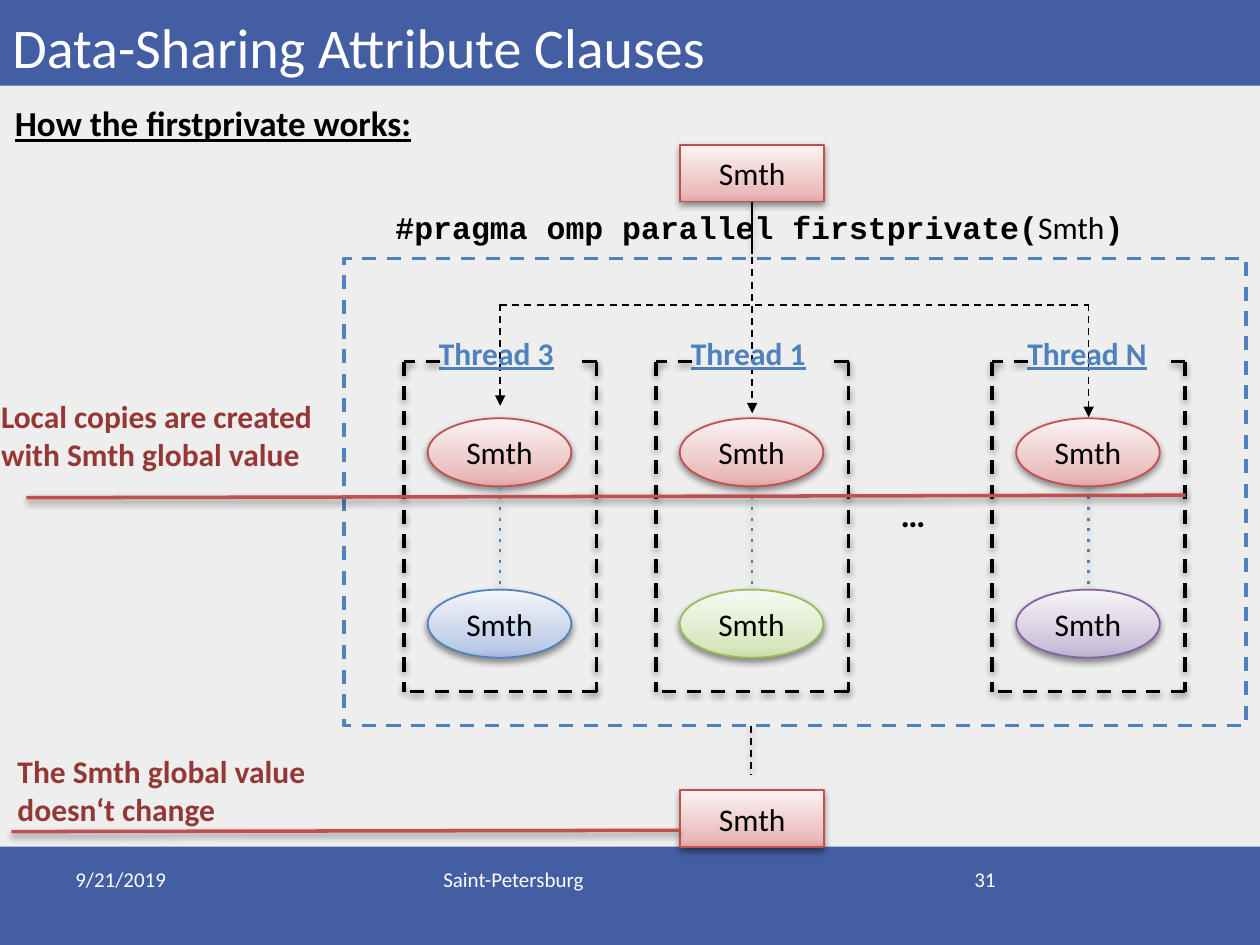
from copy import deepcopy

from lxml import etree
from pptx import Presentation
from pptx.dml.color import RGBColor
from pptx.enum.dml import MSO_LINE
from pptx.enum.shapes import MSO_CONNECTOR, MSO_SHAPE
from pptx.enum.text import MSO_ANCHOR, MSO_AUTO_SIZE, PP_ALIGN
from pptx.oxml.ns import qn
from pptx.util import Inches, Pt

RECTANGLE, OVAL = MSO_SHAPE.RECTANGLE, MSO_SHAPE.OVAL
STRAIGHT, DASH = MSO_CONNECTOR.STRAIGHT, MSO_LINE.DASH
LEFT, CENTER, RIGHT = PP_ALIGN.LEFT, PP_ALIGN.CENTER, PP_ALIGN.RIGHT
TOP, MIDDLE, BOTTOM = MSO_ANCHOR.TOP, MSO_ANCHOR.MIDDLE, MSO_ANCHOR.BOTTOM
FIT_TEXT = MSO_AUTO_SIZE.SHAPE_TO_FIT_TEXT

BLACK = RGBColor(0x00, 0x00, 0x00)
WHITE = RGBColor(0xFF, 0xFF, 0xFF)
PAPER = RGBColor(0xEE, 0xEE, 0xEE)
BAND = RGBColor(0x44, 0x5E, 0xA4)
DARK_RED = RGBColor(0x95, 0x37, 0x35)
RED = RGBColor(0xC0, 0x50, 0x4D)
BLUE = RGBColor(0x4F, 0x81, 0xBD)
GREEN = RGBColor(0x9B, 0xBB, 0x59)
PURPLE = RGBColor(0x80, 0x64, 0xA2)

# Gradient colours from bottom to top, by outline colour
GRADIENTS = {
    RED: (RGBColor(0xE1, 0xA3, 0xA2), RGBColor(0xE9, 0xBC, 0xBB), RGBColor(0xFB, 0xF3, 0xF3)),
    BLUE: (RGBColor(0xA3, 0xB8, 0xDF), RGBColor(0xBC, 0xCB, 0xE7), RGBColor(0xF3, 0xF6, 0xFA)),
    GREEN: (RGBColor(0xC7, 0xDD, 0xA6), RGBColor(0xD6, 0xE6, 0xBE), RGBColor(0xF7, 0xFA, 0xF4)),
    PURPLE: (RGBColor(0xB9, 0xAC, 0xCD), RGBColor(0xCC, 0xC2, 0xDB), RGBColor(0xF6, 0xF4, 0xF8)),
}
STOPS = (0, 0.15, 1)


class Diagram:
    """Draws on a grid of 100 columns by 75 rows, each a tenth of an inch."""

    font_name = "Calibri"
    code_font = "Courier New"

    def __init__(self, slide):
        self.slide = slide
        self.shapes = slide.shapes
        slide.background.fill.solid()
        slide.background.fill.fore_color.rgb = PAPER

    def grid(self, *units):
        return [Inches(unit / 10) for unit in units]

    def open_group(self):
        self.shapes = self.slide.shapes.add_group_shape().shapes

    def close_group(self):
        self.shapes = self.slide.shapes

    def effects(self, shape, shadow):
        """End the shape properties with a soft shadow or with no effect."""
        effect_list = etree.SubElement(shape._element.spPr, qn("a:effectLst"))
        if shadow:
            outer = etree.SubElement(effect_list, qn("a:outerShdw"), blurRad=str(Pt(4)),
                                     dist=str(Pt(2)), dir="5400000", rotWithShape="0")
            color = etree.SubElement(outer, qn("a:srgbClr"), val=str(BLACK))
            etree.SubElement(color, qn("a:alpha"), val="43000")

    def style(self, run, size, color, bold=False, underline=False, font=None):
        run.font.name = font or self.font_name
        run.font.size = Pt(size)
        run.font.color.rgb = color
        run.font.bold = bold
        run.font.underline = underline

    def text(self, at, text, size=18, color=BLACK, bold=False, underline=False,
             align=LEFT, anchor=TOP, wrap=False):
        frame = self.shapes.add_textbox(*self.grid(*at)).text_frame
        frame.text = text
        frame.word_wrap = wrap
        if not wrap:
            frame.auto_size = FIT_TEXT
        frame.vertical_anchor = anchor
        for paragraph in frame.paragraphs:
            paragraph.alignment = align
            for run in paragraph.runs:
                self.style(run, size, color, bold, underline)
        return frame

    def code(self, at, parts):
        """One line of (text, is_code) parts."""
        frame = self.text(at, "")
        for text, is_code in parts:
            run = frame.paragraphs[0].add_run()
            run.text = text
            self.style(run, 18, BLACK, is_code, font=self.code_font if is_code else None)

    def band(self, top, height):
        shape = self.shapes.add_shape(RECTANGLE, *self.grid(0, top, 100, height))
        shape.fill.solid()
        shape.fill.fore_color.rgb = BAND
        shape.line.fill.background()
        shape.shadow.inherit = False

    def dashed_box(self, at, color):
        shape = self.shapes.add_shape(RECTANGLE, *self.grid(*at))
        shape.fill.background()
        shape.line.color.rgb = color
        shape.line.width = Pt(2)
        shape.line.dash_style = DASH
        shape.shadow.inherit = False

    def variable(self, kind, at, color):
        """A shaded shape that stands for one copy of the variable."""
        shape = self.shapes.add_shape(kind, *self.grid(*at))
        shape.fill.gradient()
        shape.fill.gradient_angle = 90
        stop_list = shape._element.spPr.find(".//" + qn("a:gsLst"))
        stop_list.append(deepcopy(stop_list[-1]))
        for stop, position, shade in zip(shape.fill.gradient_stops, STOPS, GRADIENTS[color]):
            stop.position = position
            stop.color.rgb = shade
        shape.line.color.rgb = color
        shape.line.width = Pt(1)
        self.effects(shape, True)
        frame = shape.text_frame
        frame.text = "Smth"
        frame.vertical_anchor = MIDDLE
        frame.paragraphs[0].alignment = CENTER
        self.style(frame.paragraphs[0].runs[0], 18, BLACK)
        return shape

    def line(self, start, end, color=BLACK, width=1, dash="dash", arrow=False, shadow=True):
        connector = self.shapes.add_connector(STRAIGHT, *self.grid(*start, *end))
        connector.line.color.rgb = color
        connector.line.width = Pt(width)
        outline = connector._element.spPr.find(qn("a:ln"))
        if dash:
            connector.line.dash_style = DASH
            outline.find(qn("a:prstDash")).set("val", dash)
        if arrow:
            etree.SubElement(outline, qn("a:tailEnd"), type="triangle")
        self.effects(connector, shadow)
        return connector

    def thread(self, center, name, label_width, final_color):
        """Two copies of the variable in an open dashed frame with a label."""
        self.variable(OVAL, (center - 5.75, 33.2, 11.4, 5.4), RED)
        self.variable(OVAL, (center - 5.75, 46.8, 11.4, 5.4), final_color)
        self.line((center, 38.6), (center, 46.8), BLUE, 1.5, "dot")
        left, right, top, bottom = center - 7.65, center + 7.65, 28.7, 54.9
        self.open_group()
        self.text((center - 5.85, 26, label_width, 4), name, color=BLUE,
                  bold=True, underline=True)
        for start, end in (((left, top), (left, bottom)),
                           ((right, top), (right, bottom)),
                           ((right, bottom), (left, bottom)),
                           ((left + 2.85, top), (left, top)),
                           ((right, top), (right - 1.95, top))):
            self.line(start, end, width=2)
        self.close_group()


def main():
    presentation = Presentation()
    presentation.slide_width, presentation.slide_height = Inches(10), Inches(7.5)
    diagram = Diagram(presentation.slides.add_slide(presentation.slide_layouts[6]))

    # Bands, title and footer
    diagram.band(67.2, 7.8)
    diagram.band(0, 6.8)
    diagram.line((59.6, 57.6), (59.6, 61.5))
    diagram.text((0, -2.1, 100, 8.9), "Data-Sharing Attribute Clauses", 32, WHITE,
                 anchor=BOTTOM, wrap=True)
    for left, width, text, align in ((5, 23.3, "9/21/2019", LEFT), (71.7, 8.3, "31", RIGHT),
                                     (34.2, 31.7, "Saint-Petersburg", LEFT)):
        diagram.text((left, 68.3, width, 5.2), text, 12, WHITE, align=align, wrap=True)

    # Arrows that spread the value to the threads
    centers = (39.7, 59.7, 86.4)
    first, middle, last = centers
    diagram.open_group()
    diagram.line((middle, 15.6), (middle, 32.8), arrow=True, shadow=False)
    diagram.line((first, 24.2), (last, 24.2), shadow=False)
    for center, tip in ((first, 32.2), (last, 33.1)):
        diagram.line((center, 24.1), (center, tip), arrow=True, shadow=False)
    diagram.close_group()

    # Threads in the parallel region
    threads = (("Thread 3", 12.5, BLUE), ("Thread 1", 12.5, GREEN), ("Thread N", 13, PURPLE))
    for center, (name, label_width, color) in zip(centers, threads):
        diagram.thread(center, name, label_width, color)
    diagram.text((70.5, 38.6, 5.4, 8.9), "…", 20, bold=True)
    diagram.dashed_box((27.3, 20.5, 71.6, 37.1), BLUE)

    # Global variable before and after the region
    source = diagram.variable(RECTANGLE, (54, 11.5, 11.4, 4.5), RED)
    diagram.code((30.4, 16, 60.7, 4), (("#pragma omp parallel firstprivate(", True),
                                       ("Smth", False), (")", True)))
    diagram.variable(RECTANGLE, (54, 62.7, 11.4, 4.5), RED)
    stub = diagram.line((middle, 16), (middle, 20.2))
    stub.begin_connect(source, 2)

    # Heading and remarks
    diagram.text((0.2, 7.6, 38, 4.4), "How the firstprivate works:", 20,
                 bold=True, underline=True)
    diagram.line((94.1, 39.3), (2.1, 39.5), RED, 2, None)
    diagram.text((-0.9, 31, 31.5, 7.1), "Local copies are created\nwith Smth global value",
                 color=DARK_RED, bold=True)
    diagram.text((0.4, 59.2, 28.8, 7.1), "The Smth global value\ndoesn‘t change",
                 color=DARK_RED, bold=True)
    diagram.line((0.9, 66), (53.9, 65.9), RED, 2, None)

    presentation.save("out.pptx")


if __name__ == "__main__":
    main()
